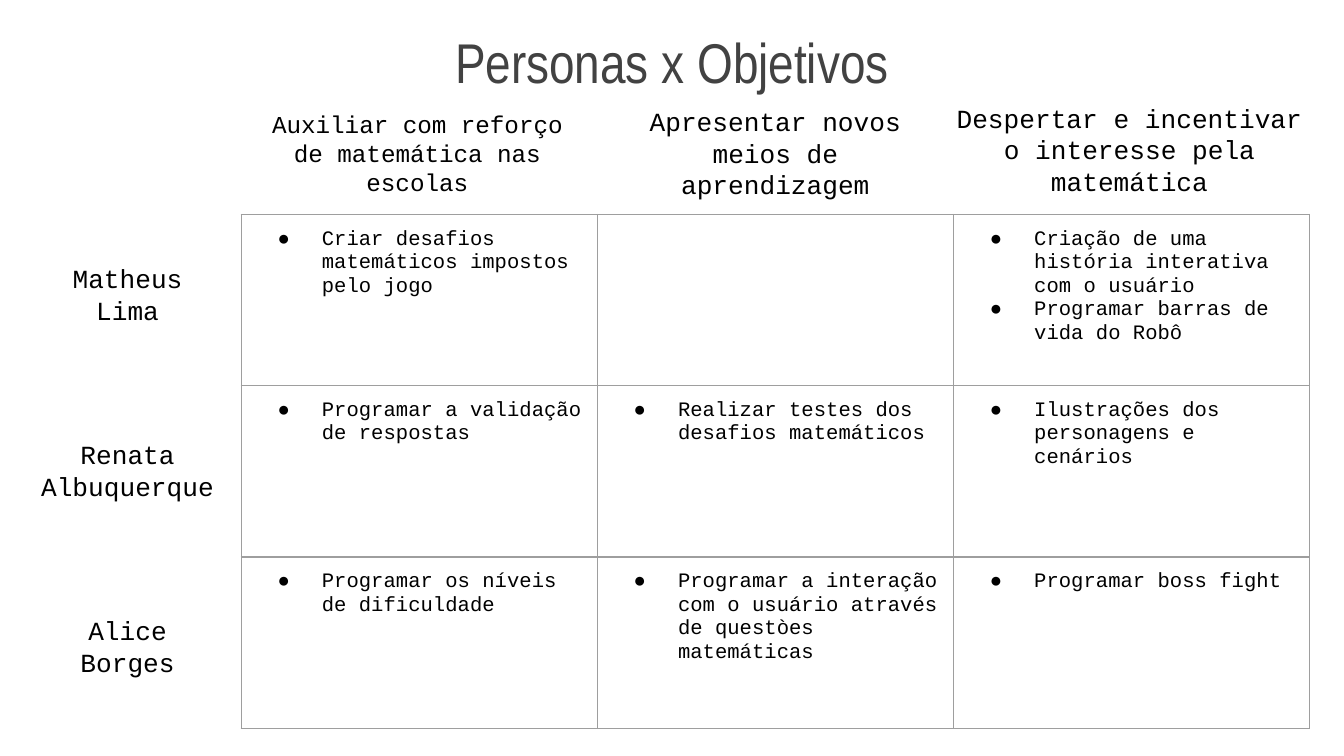
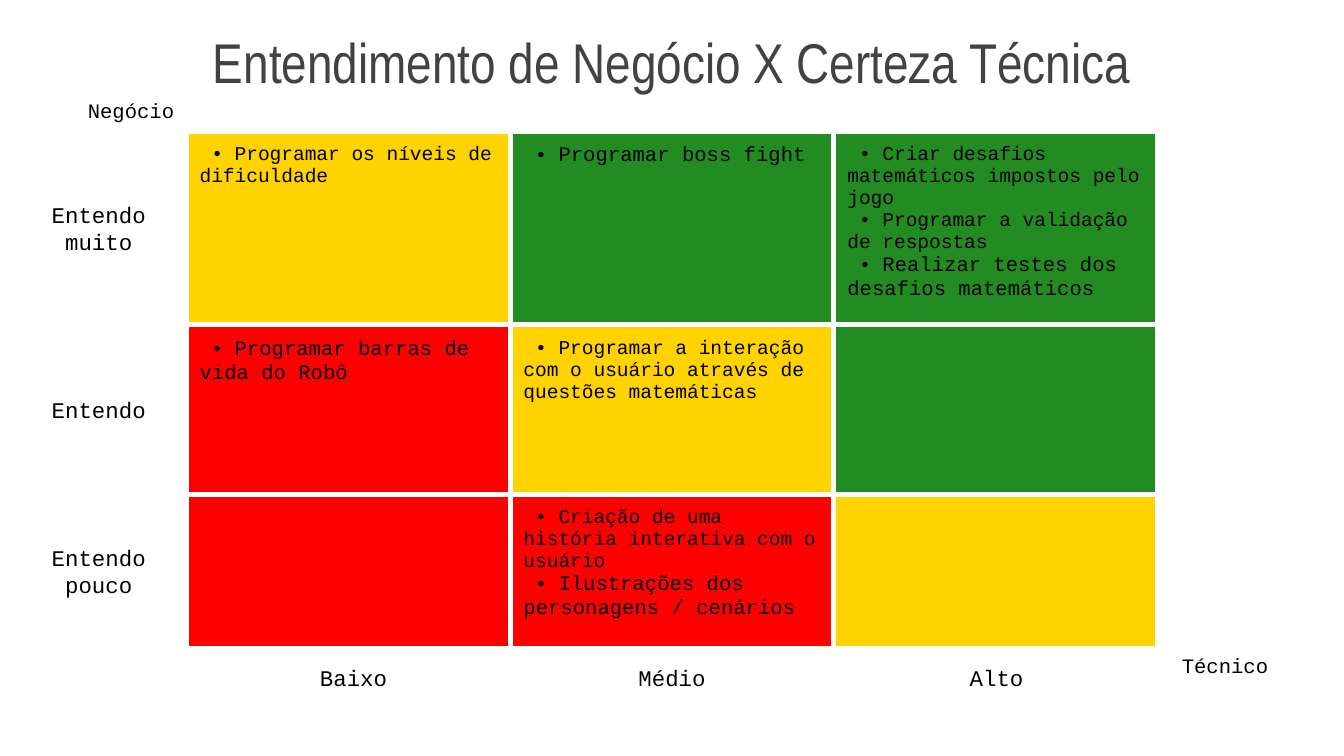
from itertools import accumulate

from lxml.etree import SubElement
from pptx import Presentation
from pptx.dml.color import RGBColor
from pptx.enum.text import MSO_ANCHOR, MSO_AUTO_SIZE, PP_ALIGN
from pptx.oxml.ns import qn
from pptx.util import Emu, Pt

TITLE_FONT, BODY_FONT = "Arial Narrow", "Courier New"
TITLE_GREY, BLACK, WHITE, BORDER_GREY = "424242", "000000", "FFFFFF", "9E9E9E"
YELLOW, GREEN, RED = "FFD300", "228B22", "FF0000"
INSET = 20
TITLE_BOX = (68, 0, 1864, 161)


def px(length):
    """200 px make one inch."""
    return Emu(length * 4572)


def color(value):
    return RGBColor.from_string(value)


def add_run(paragraph, text, size, font=BODY_FONT, fill=BLACK):
    run = paragraph.add_run()
    run.text = text
    run.font.size = Pt(size)
    run.font.name = font
    run.font.color.rgb = color(fill)


def add_text(slide, box, text, size=14, font=BODY_FONT, fill=BLACK,
             align=PP_ALIGN.CENTER, anchor=MSO_ANCHOR.TOP, grow=True):
    frame = slide.shapes.add_textbox(*map(px, box)).text_frame
    frame.word_wrap = True
    frame.auto_size = MSO_AUTO_SIZE.SHAPE_TO_FIT_TEXT if grow else MSO_AUTO_SIZE.NONE
    frame.vertical_anchor = anchor
    frame.margin_left = frame.margin_right = px(INSET)
    frame.margin_top = frame.margin_bottom = px(INSET)
    paragraph = frame.paragraphs[0]
    paragraph.alignment = align
    add_run(paragraph, text, size, font, fill)


def add_titled_slide(presentation, title):
    slide = presentation.slides.add_slide(presentation.slide_layouts[6])
    slide.background.fill.solid()
    slide.background.fill.fore_color.rgb = color(WHITE)
    add_text(slide, TITLE_BOX, title, size=30, font=TITLE_FONT, fill=TITLE_GREY,
             anchor=MSO_ANCHOR.BOTTOM, grow=False)
    return slide


def set_borders(cell, line_color, width):
    properties = cell._tc.get_or_add_tcPr()
    for side in ("lnL", "lnR", "lnT", "lnB"):
        line = SubElement(properties, qn(f"a:{side}"), w=str(Pt(width)))
        fill = SubElement(line, qn("a:solidFill"))
        SubElement(fill, qn("a:srgbClr"), val=line_color)


def set_bullet(paragraph, size):
    properties = paragraph._p.get_or_add_pPr()
    properties.set("marL", str(px(100)))
    properties.set("indent", str(px(-66)))
    bullet_color = SubElement(properties, qn("a:buClr"))
    SubElement(bullet_color, qn("a:srgbClr"), val=BLACK)
    SubElement(properties, qn("a:buSzPts"), val=str(size * 100))
    SubElement(properties, qn("a:buFont"), typeface=BODY_FONT)
    SubElement(properties, qn("a:buChar"), char="●")


def end_paragraph(paragraph):
    """Give the paragraph mark the size of the last run."""
    size = paragraph.runs[-1].font.size.centipoints
    SubElement(paragraph._p, qn("a:endParaRPr"), sz=str(size))


def add_grid(slide, left, top, column_width, row_heights, contents, write_item,
             border, fills=None):
    """Table of equal columns; write_item fills one paragraph per item."""
    columns = len(contents[0])
    table = slide.shapes.add_table(
        len(contents), columns, px(left), px(top),
        px(column_width * columns), px(sum(row_heights))).table
    table.first_row = table.horz_banding = False
    for row, height in enumerate(row_heights):
        table.rows[row].height = px(height)
        for column, items in enumerate(contents[row]):
            cell = table.cell(row, column)
            cell.margin_left = cell.margin_right = px(INSET)
            cell.margin_top = cell.margin_bottom = px(INSET)
            set_borders(cell, *border)
            if fills:
                cell.fill.solid()
                cell.fill.fore_color.rgb = color(fills[row][column])
            else:
                cell.fill.background()
            frame = cell.text_frame
            for index, item in enumerate(items):
                paragraph = frame.add_paragraph() if index else frame.paragraphs[0]
                write_item(paragraph, item)
                end_paragraph(paragraph)


# Personas against goals
GOALS = [  # offset from the table, width, height, size, wording
    (-1, -177, 526, 172, 13, "Auxiliar com reforço de matemática nas escolas"),
    (535, -182, 520, 182, 14, "Apresentar novos meios de aprendizagem"),
    (1042, -187, 560, 182, 14, "Despertar e incentivar o interesse pela matemática"),
]
PERSONAS = ["Matheus Lima", "Renata Albuquerque", "Alice Borges"]
PERSONA_TASKS = [
    [["Criar desafios matemáticos impostos pelo jogo"],
     [],
     ["Criação de uma história interativa com o usuário",
      "Programar barras de vida do Robô"]],
    [["Programar a validação de respostas"],
     ["Realizar testes dos desafios matemáticos"],
     ["Ilustrações dos personagens e cenários"]],
    [["Programar os níveis de dificuldade"],
     ["Programar a interação com o usuário através de questòes matemáticas"],
     ["Programar boss fight"]],
]


def write_bulleted(paragraph, text):
    set_bullet(paragraph, 11)
    add_run(paragraph, text, 11)


def add_persona_matrix(slide, left, top):
    add_grid(slide, left, top, 530, [255] * 3, PERSONA_TASKS, write_bulleted,
             (BORDER_GREY, 0.75))
    # Goals above the columns
    for dx, dy, width, height, size, goal in GOALS:
        add_text(slide, (left + dx, top + dy, width, height), goal, size=size)
    # Personas beside the rows
    for row, persona in enumerate(PERSONAS):
        add_text(slide, (left - 323, top + 52 + 262 * row, 308, 134), persona)


# Business understanding against technical certainty
CERTAINTY_FILLS = [[YELLOW, GREEN, GREEN], [RED, YELLOW, GREEN], [RED, RED, YELLOW]]
CERTAINTY_TASKS = [  # each task with its text size
    [[("Programar os níveis de dificuldade", 10.5)],
     [("Programar boss fight", 11)],
     [("Criar desafios matemáticos impostos pelo jogo", 10.5),
      ("Programar a validação de respostas", 10.5),
      ("Realizar testes dos desafios matemáticos", 11)]],
    [[("Programar barras de vida do Robô", 11)],
     [("Programar a interação com o usuário através de questões matemáticas", 10.5)],
     []],
    [[],
     [("Criação de uma história interativa com o usuário", 10.5),
      ("Ilustrações dos personagens / cenários", 11)],
     []],
]
UNDERSTANDING = [("Entendo muito", 288), ("Entendo", 252), ("Entendo pouco", 230)]
CERTAINTY = [("Baixo", 8), ("Médio", 482), ("Alto", 965)]


def write_inline_bullet(paragraph, task):
    text, size = task
    add_run(paragraph, " • ", 10.5)
    add_run(paragraph, text, size)


def add_certainty_matrix(slide, left, top):
    add_grid(slide, left, top, 482, [230, 252, 230], CERTAINTY_TASKS,
             write_inline_bullet, (WHITE, 3), CERTAINTY_FILLS)
    # Axis names
    for name, dx, dy in (("Negócio", -166, -67), ("Técnico", 1462, 759)):
        add_text(slide, (left + dx, top + dy, 174, 78), name, size=11,
                 align=PP_ALIGN.LEFT)
    # Understanding levels, stacked beside the rows
    bottoms = accumulate(height for _, height in UNDERSTANDING)
    for (level, height), bottom in zip(UNDERSTANDING, bottoms):
        add_text(slide, (left - 260, top + bottom - height, 260, height), level,
                 size=12, anchor=MSO_ANCHOR.MIDDLE, grow=False)
    # Certainty levels below the columns
    for level, dx in CERTAINTY:
        add_text(slide, (left + dx, top + 774, 482, 80), level, size=12)


def main():
    presentation = Presentation()
    presentation.slide_width, presentation.slide_height = px(2000), px(1125)
    add_persona_matrix(add_titled_slide(presentation, "Personas x Objetivos"), 359, 319)
    add_certainty_matrix(
        add_titled_slide(presentation, "Entendimento de Negócio X Certeza Técnica"), 277, 195)
    presentation.save("out.pptx")


if __name__ == "__main__":
    main()
